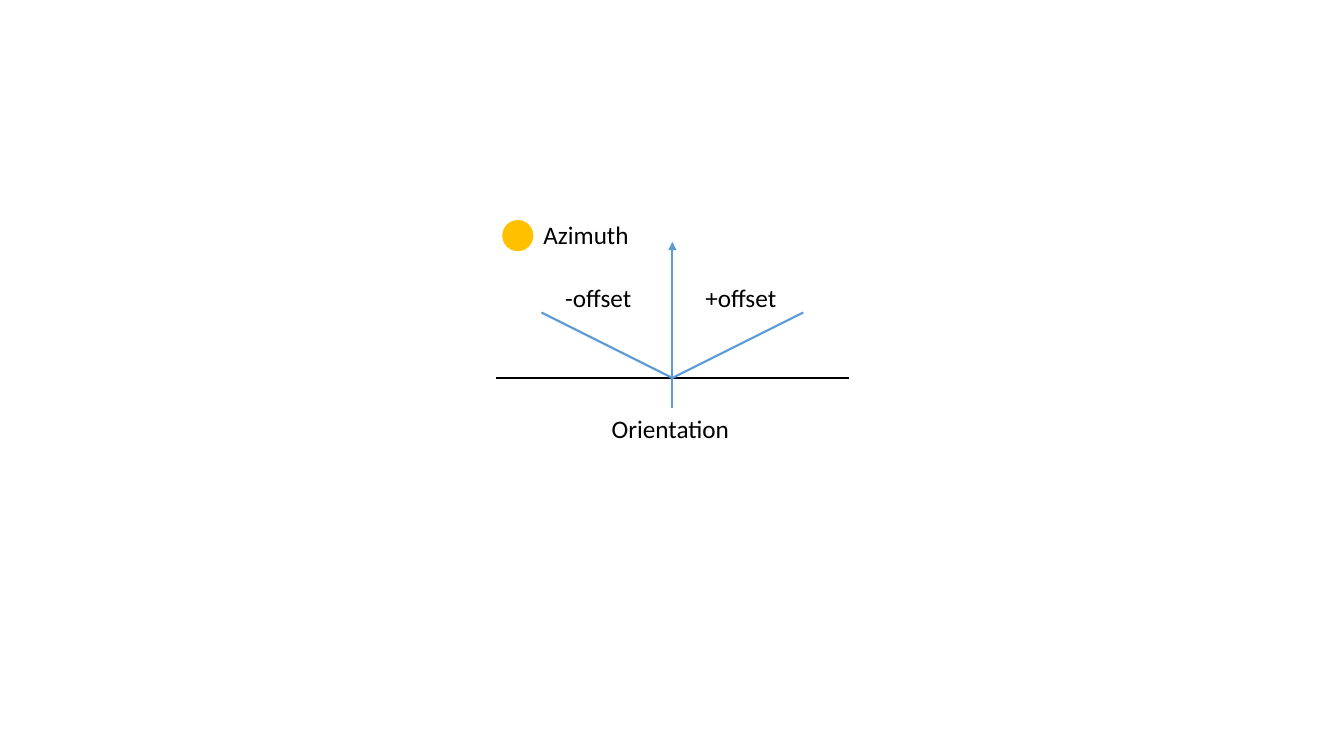
from dataclasses import dataclass

import lxml.etree
import pptx
import pptx.dml.color
import pptx.enum.shapes
import pptx.enum.text
import pptx.oxml
import pptx.oxml.ns
import pptx.util

Cm = pptx.util.Cm
Pt = pptx.util.Pt
RGBColor = pptx.dml.color.RGBColor


@dataclass(frozen=True)
class Theme:
    """Colours, type and line widths of the slide."""
    ink: RGBColor = RGBColor(0, 0, 0)
    ray: RGBColor = RGBColor(0x5B, 0x9B, 0xD5)
    sun: RGBColor = RGBColor(0xFF, 0xC0, 0)
    font: str = "Calibri"
    label_size: Pt = Pt(18)
    line_width: Pt = Pt(1.5)
    outline_width: Pt = Pt(1)


THEME = Theme()


def add_line(slide, start, end, color, arrow=False):
    """Draw a straight line, with an arrowhead at its end if asked."""
    line = slide.shapes.add_connector(
        pptx.enum.shapes.MSO_CONNECTOR.STRAIGHT, *start, *end)
    line.line.color.rgb = color
    line.line.width = THEME.line_width
    properties = line._element.spPr
    qn = pptx.oxml.ns.qn
    if arrow:
        lxml.etree.SubElement(properties.find(qn("a:ln")), qn("a:tailEnd"), type="triangle")
    lxml.etree.SubElement(properties, qn("a:effectLst"))


def add_label(slide, text, left, top, width):
    """Place a one-line label that keeps its text unwrapped."""
    frame = slide.shapes.add_textbox(left, top, width, Cm(1.02)).text_frame
    frame.word_wrap = False
    frame.auto_size = pptx.enum.text.MSO_AUTO_SIZE.SHAPE_TO_FIT_TEXT
    paragraph = frame.paragraphs[0]
    paragraph.text = text
    paragraph.font.name = THEME.font
    paragraph.font.size = THEME.label_size
    paragraph.font.color.rgb = THEME.ink


def add_sun(slide, left, top, diameter):
    """Draw the sun as a filled disc."""
    sun = slide.shapes.add_shape(
        pptx.enum.shapes.MSO_SHAPE.OVAL, left, top, diameter, diameter)
    sun.shadow.inherit = False
    sun.fill.solid()
    sun.fill.fore_color.rgb = THEME.sun
    sun.line.color.rgb = THEME.sun
    sun.line.width = THEME.outline_width


def add_orientation_diagram(slide, left, top, width, height):
    """Draw the surface, its orientation, the offset limits and the sun in a box."""
    center = left + width // 2
    surface = top + int(height * 0.7)

    def point(across, down):
        """Give a position in centimetres from where the rays meet."""
        return center + Cm(across), surface + Cm(down)

    add_line(slide, (left, surface), (left + width, surface), THEME.ink)
    add_line(slide, point(0, 0.76), point(0, -3.43), THEME.ray, arrow=True)
    for side in (1, -1):
        add_line(slide, point(0, 0), point(side * 3.3, -1.65), THEME.ray)

    for text, across, down, label_width in (
        ("Orientation", -1.78, 0.76, 3.5),
        ("-offset", -2.95, -2.54, 2.21),
        ("+offset", 0.58, -2.54, 2.34),
        ("Azimuth", -3.5, -4.11, 2.69),
    ):
        add_label(slide, text, *point(across, down), Cm(label_width))
    add_sun(slide, *point(-4.27, -3.96), Cm(0.75))


presentation = pptx.Presentation()
presentation.slide_width = Cm(33.87)
presentation.slide_height = Cm(19.05)
orientation_slide = presentation.slides.add_slide(presentation.slide_layouts[6])
add_orientation_diagram(orientation_slide, Cm(12.5), Cm(5.4), Cm(8.89), Cm(5.89))
presentation.save("out.pptx")
